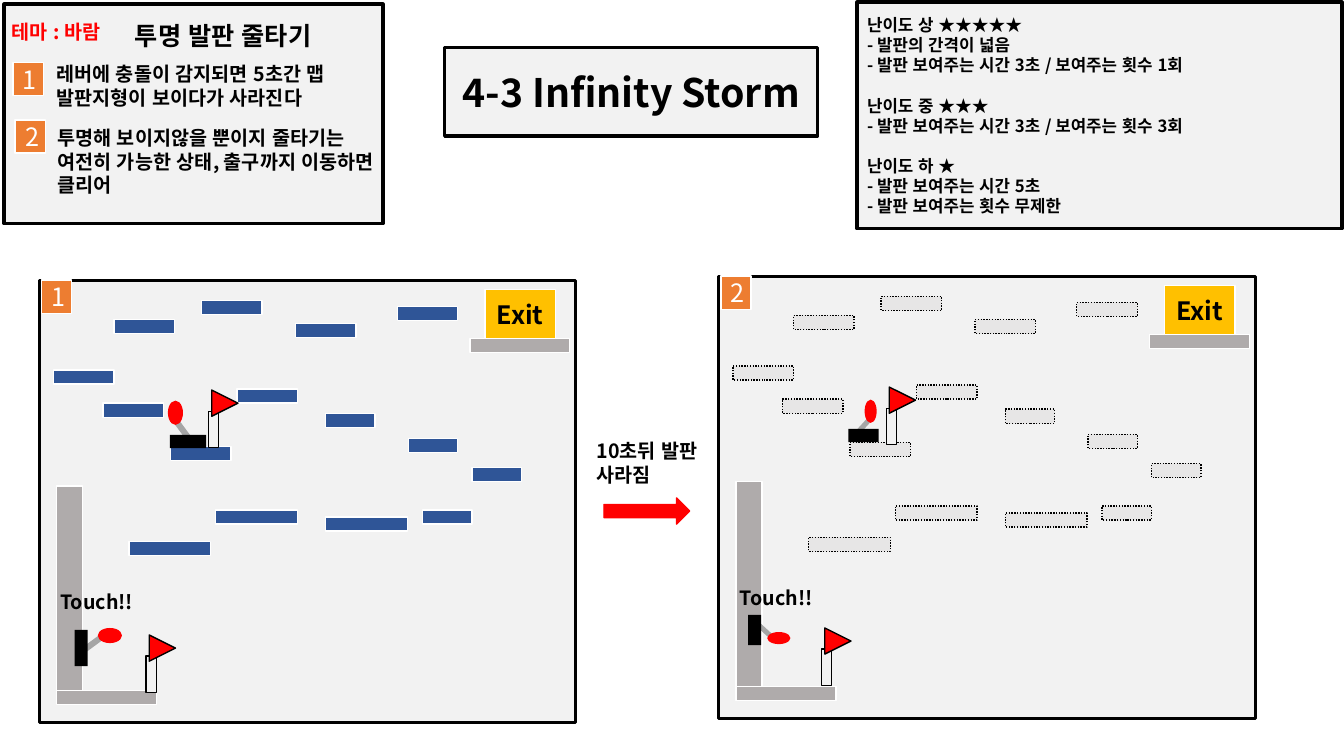
from pptx import Presentation
from pptx.dml.color import RGBColor
from pptx.enum.dml import MSO_LINE
from pptx.enum.lang import MSO_LANGUAGE_ID as Lang
from pptx.enum.shapes import MSO_SHAPE as Shape
from pptx.enum.text import MSO_ANCHOR as Anchor, MSO_AUTO_SIZE as AutoSize, PP_ALIGN as Align
from pptx.oxml.ns import qn
from pptx.util import Inches, Pt
from lxml import etree

FONT = "Noto Sans CJK KR"
BLACK = RGBColor(0x00, 0x00, 0x00)
WHITE = RGBColor(0xFF, 0xFF, 0xFF)
RED = RGBColor(0xFF, 0x00, 0x00)
PANEL = RGBColor(0xF2, 0xF2, 0xF2)
ORANGE = RGBColor(0xED, 0x7D, 0x31)
BLUE = RGBColor(0x2F, 0x55, 0x97)
GHOST = RGBColor(0xE7, 0xE6, 0xE6)
WALL = RGBColor(0xAF, 0xAB, 0xAB)
STICK = RGBColor(0xA5, 0xA5, 0xA5)
GOLD = RGBColor(0xFF, 0xC0, 0x00)

PLATFORMS = [
    (0.6, [(2, 2.98), (3.94, 3.04), (1.13, 3.17), (2.93, 3.21), (0.53, 3.67),
           (2.35, 3.86), (1.02, 4), (1.69, 4.43)]),
    (0.49, [(3.23, 4.1), (4.05, 4.35), (4.68, 4.64), (4.19, 5.06)]),
    (0.81, [(2.14, 5.06), (3.23, 5.13), (1.28, 5.37)]),
]
WALLS = [(4.66, 3.36, 0.99, 0.14), (0.56, 4.82, 0.26, 2.03), (0.56, 6.85, 0.99, 0.14)]

LEVERS = [
    ((0.76, 6.37, 0.28, 0.06), 323.6, (0.97, 6.23, 0.24, 0.15), (0.74, 6.25, 0.13, 0.36), 0),
    ((1.69, 4.26, 0.28, 0.06), 233.6, (1.62, 4.02, 0.24, 0.15), (1.8, 4.2, 0.13, 0.36), 270),
    ((7.46, 6.24, 0.27, 0.05), 42.5, (7.61, 6.27, 0.23, 0.12), (7.42, 6.1, 0.13, 0.3), 0),
    ((8.44, 4.19, 0.27, 0.05), 312.5, (8.52, 4.02, 0.23, 0.12), (8.5, 4.17, 0.13, 0.3), 270),
]
FLAGS = [(1.45, 6.51), (2.07, 4.08), (8.15, 6.44), (8.79, 4.05)]

DIFFICULTIES = [
    ("난이도 상 ", "★★★★★", ["- 발판의 간격이 넓음",
                          "- 발판 보여주는 시간 3초 / 보여주는 횟수 1회"]),
    ("난이도 중 ", "★★★", ["- 발판 보여주는 시간 3초 / 보여주는 횟수 3회"]),
    ("난이도 하 ", "★", ["- 발판 보여주는 시간 5초", "- 발판 보여주는 횟수 무제한"]),
]


def write(p, text, size=14, color=BLACK, bold=True, align=Align.LEFT, before=0):
    p.alignment = align
    p.line_spacing = Pt(size * 1.2)
    p.space_before = Pt(before)
    r = p.add_run()
    r.text = text
    r.font.size = Pt(size)
    r.font.bold = bold
    r.font.color.rgb = color
    r.font.name = FONT
    r.font.language_id = Lang.KOREAN
    latin = r.font._element.find(qn("a:latin"))
    ea = etree.Element(qn("a:ea"), typeface=FONT)
    latin.addnext(ea)


def paint(sp, fill, line=None, width=1.0):
    sp.fill.solid()
    sp.fill.fore_color.rgb = fill
    if line is None:
        sp.line.fill.background()
    else:
        sp.line.color.rgb = line
        sp.line.width = Pt(width)


def add_box(shapes, box, fill, line=None, width=1.0, kind=Shape.RECTANGLE, turn=0):
    sp = shapes.add_shape(kind, *map(Inches, box))
    sp.shadow.inherit = False
    sp.rotation = turn
    paint(sp, fill, line, width)
    return sp


def add_label(shapes, box, text, fill, **fmt):
    sp = add_box(shapes, box, fill, WHITE)
    tf = sp.text_frame
    tf.vertical_anchor = Anchor.MIDDLE
    tf.word_wrap = True
    write(tf.paragraphs[0], text, size=18, align=Align.CENTER, **fmt)


def add_badge(shapes, x, y, number):
    add_label(shapes, (x, y, 0.3, 0.33), number, ORANGE, color=WHITE, bold=False)


def add_note(shapes, box, text, **fmt):
    tf = shapes.add_textbox(*map(Inches, box)).text_frame
    tf.word_wrap = True
    write(tf.paragraphs[0], text, **fmt)


def frame_placeholder(sp, box):
    sp.left, sp.top, sp.width, sp.height = map(Inches, box)
    paint(sp, PANEL, BLACK, 2.25)
    tf = sp.text_frame
    tf.auto_size = AutoSize.NONE
    tf.word_wrap = True
    tf.vertical_anchor = Anchor.MIDDLE
    return tf


def add_difficulties(body):
    tf = frame_placeholder(body, (8.5, 0.02, 4.81, 2.25))
    p = tf.paragraphs[0]
    for i, (level, stars, rules) in enumerate(DIFFICULTIES):
        if i:
            p = tf.add_paragraph()
        write(p, level, size=12, before=14.4 if i else 0)
        write(p, stars, size=12, bold=False, before=14.4 if i else 0)
        for rule in rules:
            write(tf.add_paragraph(), rule, size=12)
    for p in tf.paragraphs:
        pPr = p._p.get_or_add_pPr()
        pPr.set("marL", "0")
        pPr.set("indent", "0")
        etree.SubElement(pPr, qn("a:buNone"))


def add_scene(shapes, number, dx, dy, fill, line, dash=None):
    add_box(shapes, (0.39 + dx, 2.78 + dy, 5.32, 4.39), PANEL, BLACK, 2.25)
    add_badge(shapes, 0.41 + dx, 2.78 + dy, number)
    for w, places in PLATFORMS:
        for x, y in places:
            sp = add_box(shapes, (x + dx, y + dy, w, 0.14), fill, line)
            sp.line.dash_style = dash
    for x, y, w, h in WALLS:
        add_box(shapes, (x + dx, y + dy, w, h), WALL, WHITE)
    add_label(shapes, (4.81 + dx, 2.87 + dy, 0.7, 0.49), "Exit", GOLD)
    add_note(shapes, (0.5 + dx, 5.8 + dy, 1.04, 0.34), "Touch!!")


def add_lever(shapes, stick, angle, knob, base, turn):
    parts = shapes.add_group_shape().shapes
    add_box(parts, stick, STICK, turn=angle)
    add_box(parts, knob, RED, kind=Shape.OVAL, turn=turn)
    add_box(parts, base, BLACK, turn=turn)


def add_flag(shapes, x, y):
    parts = shapes.add_group_shape().shapes
    add_box(parts, (x, y, 0.1, 0.36), PANEL, BLACK)
    add_box(parts, (x + 0.03, y - 0.21, 0.26, 0.26), RED, BLACK,
            kind=Shape.ISOSCELES_TRIANGLE, turn=90)


def main():
    prs = Presentation()
    prs.slide_width, prs.slide_height = Inches(13.33), Inches(7.5)
    s = prs.slides.add_slide(prs.slide_layouts[1])
    shapes = s.shapes

    tf = frame_placeholder(shapes.title, (4.41, 0.47, 3.7, 0.88))
    write(tf.paragraphs[0], "4-3 Infinity Storm", size=28, align=Align.CENTER)
    add_difficulties(s.placeholders[1])

    add_box(shapes, (0.04, 0.04, 3.76, 2.18), PANEL, BLACK, 2.25)
    add_note(shapes, (0.02, 0.15, 1.21, 0.34), "테마 : 바람", color=RED)
    add_note(shapes, (1.24, 0.15, 2.4, 0.4), "투명 발판 줄타기", size=18)
    add_badge(shapes, 0.13, 0.62, "1")
    add_note(shapes, (0.46, 0.57, 3.35, 0.57),
             "레버에 충돌이 감지되면 5초간 맵 발판지형이 보이다가 사라진다")
    add_badge(shapes, 0.15, 1.19, "2")
    add_note(shapes, (0.47, 1.2, 3.35, 0.81),
             "투명해 보이지않을 뿐이지 줄타기는 여전히 가능한 상태, 출구까지 이동하면 클리어")

    add_scene(shapes, "1", 0, 0, BLUE, WHITE)
    add_scene(shapes, "2", 6.74, -0.04, GHOST, BLACK, MSO_LINE.ROUND_DOT)
    for lever in LEVERS:
        add_lever(shapes, *lever)
    for x, y in FLAGS:
        add_flag(shapes, x, y)

    add_note(shapes, (5.82, 4.31, 1.22, 0.57), "10초뒤 발판 사라짐")
    add_box(shapes, (5.99, 4.94, 0.85, 0.26), RED, RED, kind=Shape.RIGHT_ARROW)
    prs.save("out.pptx")


if __name__ == "__main__":
    main()
